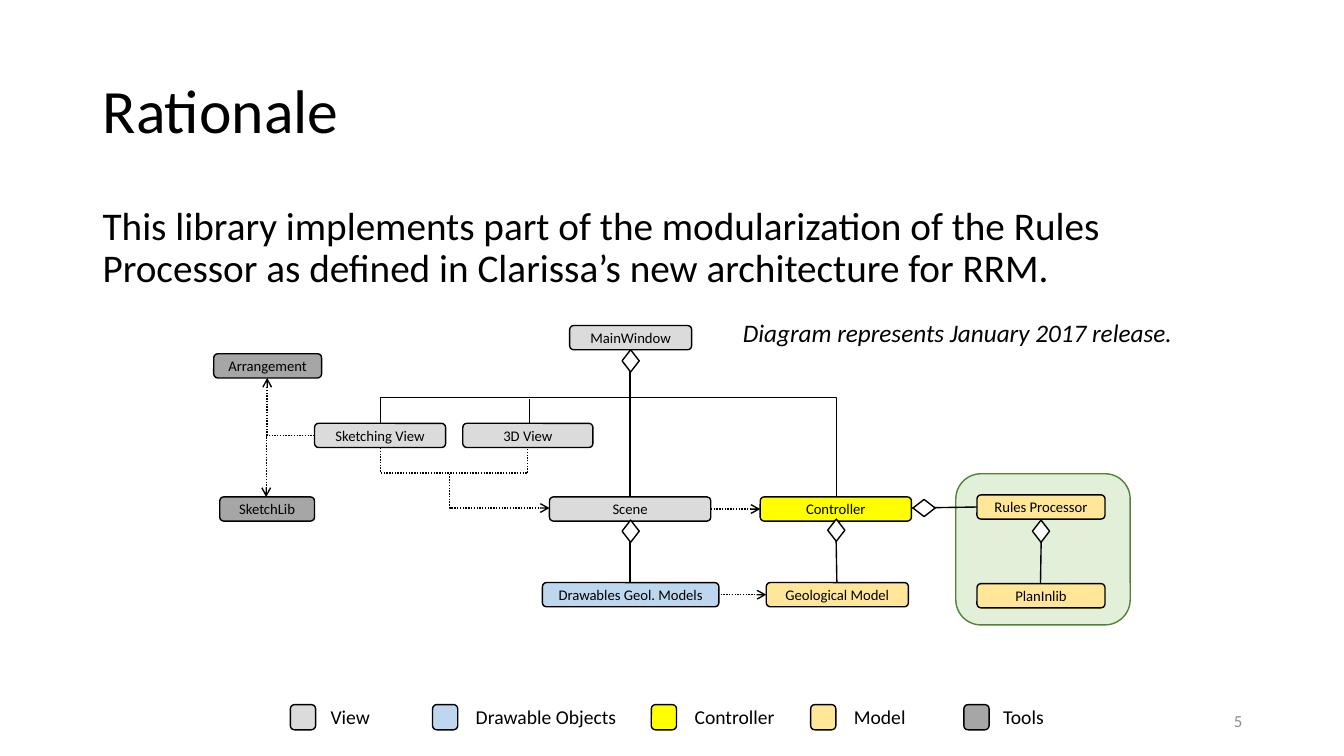
from lxml import etree
from pptx import Presentation
from pptx.dml.color import RGBColor
from pptx.enum.dml import MSO_LINE
from pptx.enum.shapes import MSO_CONNECTOR, MSO_SHAPE
from pptx.enum.text import MSO_ANCHOR, PP_ALIGN
from pptx.oxml.ns import qn
from pptx.util import Inches, Pt

COLORS = {
    "black": "000000", "white": "FFFFFF", "number": "8C8C8C",
    "view": "DBDBDB", "drawable": "BDD7EE", "controller": "FFFF00",
    "model": "FFE699", "tools": "A6A6A6",
    "region": "E2F0D9", "region_line": "548235",
}
TITLE = "Rationale"
BODY = ("This library implements part of the modularization of the Rules Processor "
        "as defined in Clarissa’s new architecture for RRM.")
NOTE = "Diagram represents January 2017 release."
PAGE_NUMBER = "5"

REGION = (9.48, 4.7, 1.73, 1.5)
MODULE_HEIGHT = 0.24
MODULES = [
    ("MainWindow", "view", 5.65, 3.23, 1.21),
    ("Sketching View", "view", 3.12, 4.2, 1.3),
    ("3D View", "view", 4.59, 4.2, 1.29),
    ("Scene", "view", 5.45, 4.93, 1.6),
    ("Drawables Geol. Models", "drawable", 5.38, 5.78, 1.75),
    ("Geological Model", "model", 7.6, 5.78, 1.41),
    ("Controller", "controller", 7.54, 4.93, 1.5),
    ("Rules Processor", "model", 9.69, 4.91, 1.27),
    ("PlanInlib", "model", 9.69, 5.79, 1.27),
    ("SketchLib", "tools", 2.18, 4.93, 0.94),
    ("Arrangement", "tools", 2.12, 3.51, 1.07),
]
OWNERSHIP_LINES = [
    (6.25, 3.47, 6.25, 4.93),
    (6.25, 5.16, 6.25, 5.78),
    (8.29, 5.17, 8.3, 5.78),
    (10.33, 5.15, 10.32, 5.79),
    (9.04, 5.04, 9.69, 5.03),
    (5.25, 4.2, 5.25, 3.96),
]
USE_ARROWS = [(7.05, 5.05, 7.54, 5.05), (7.12, 5.9, 7.6, 5.9)]
ELBOWS = [
    dict(frame=(5.67, 2.3, 0.73, 4.52), turn=270, flip="flipH", bend=-0.34),
    dict(frame=(4.5, 3.72, 0.01, 1.46), turn=270, flip="flipH", bend=25, dotted=True),
    dict(frame=(4.46, 4.7, 0.99, 0.34), bend=0, dotted=True, arrow=True),
    dict(frame=(2.65, 3.75, 0.47, 0.57), turn=180, dotted=True, arrow=True),
    dict(frame=(2.64, 4.32, 0.48, 0.61), turn=180, flip="flipV", dotted=True, arrow=True),
]
DIAMOND_SIZE = (0.17, 0.22)
DIAMONDS = [
    (6.17, 3.47, 0), (6.17, 5.16, 0), (8.21, 5.15, 0),
    (10.24, 5.16, 0), (9.08, 4.93, 90),
]
LEGEND_TOP, SWATCH = 6.99, 0.25
LEGEND = [
    ("View", "view", 2.88, 3.18, 0.6),
    ("Drawable Objects", "drawable", 4.29, 4.62, 1.61),
    ("Controller", "controller", 6.46, 6.79, 1.01),
    ("Model", "model", 8.04, 8.37, 0.72),
    ("Tools", "tools", 9.56, 9.85, 0.61),
]

deck = Presentation()
deck.slide_width, deck.slide_height = Inches(13.33), Inches(7.5)
page = deck.slides.add_slide(deck.slide_layouts[6])


def color(name):
    return RGBColor.from_string(COLORS[name])


def write(box, text, size=14, ink="black", align=PP_ALIGN.LEFT, anchor=MSO_ANCHOR.TOP,
          italic=False, spacing=None, wrap=True):
    frame = box.text_frame
    frame.word_wrap = wrap
    frame.vertical_anchor = anchor
    para = frame.paragraphs[0]
    para.alignment = align
    if spacing:
        para.line_spacing = spacing
    span = para.add_run()
    span.text = text
    span.font.name = "Calibri"
    span.font.size = Pt(size)
    span.font.italic = italic
    span.font.color.rgb = color(ink)


def add_text(frame, text, **style):
    write(page.shapes.add_textbox(*map(Inches, frame)), text, **style)


def add_outline(kind, frame, fill, line="black"):
    shape = page.shapes.add_shape(kind, *map(Inches, frame))
    shape.shadow.inherit = False
    shape.fill.solid()
    shape.fill.fore_color.rgb = color(fill)
    shape.line.color.rgb = color(line)
    shape.line.width = Pt(1)
    return shape


def add_line(ends, kind=MSO_CONNECTOR.STRAIGHT, dotted=False, arrow=False):
    connector = page.shapes.add_connector(kind, *map(Inches, ends))
    connector.line.color.rgb = color("black")
    connector.line.width = Pt(1)
    if dotted:
        connector.line.dash_style = MSO_LINE.ROUND_DOT
    properties = connector.element.spPr
    if arrow:
        etree.SubElement(properties.find(qn("a:ln")), qn("a:tailEnd"), type="arrow")
    etree.SubElement(properties, qn("a:effectLst"))
    return connector


def add_elbow(frame, turn=0, flip=None, bend=None, **style):
    left, top, width, height = frame
    ends = (left, top, left + width, top + height)
    properties = add_line(ends, MSO_CONNECTOR.ELBOW, **style).element.spPr
    transform = properties.find(qn("a:xfrm"))
    if turn:
        transform.set("rot", str(turn * 60000))
    if flip:
        transform.set(flip, "1")
    geometry = properties.find(qn("a:prstGeom"))
    if bend is None:
        geometry.set("prst", "bentConnector2")
    else:
        etree.SubElement(geometry.find(qn("a:avLst")), qn("a:gd"),
                         name="adj1", fmla=f"val {round(bend * 100000)}")


add_text((0.92, 0.4, 11.5, 1.45), TITLE, size=44, anchor=MSO_ANCHOR.MIDDLE, spacing=0.9)
add_text((0.92, 2, 11.5, 1), BODY, size=28, spacing=0.9)
add_text((9.42, 6.95, 3, 0.4), PAGE_NUMBER, size=12, ink="number",
         align=PP_ALIGN.RIGHT, anchor=MSO_ANCHOR.MIDDLE)
add_text((7.27, 3.1, 4.62, 0.4), NOTE, size=18, italic=True, wrap=False)

add_outline(MSO_SHAPE.ROUNDED_RECTANGLE, REGION, "region", "region_line")
for ends in OWNERSHIP_LINES:
    add_line(ends)
for ends in USE_ARROWS:
    add_line(ends, dotted=True, arrow=True)
for elbow in ELBOWS:
    add_elbow(**elbow)
for name, role, left, top, width in MODULES:
    module = add_outline(MSO_SHAPE.ROUNDED_RECTANGLE, (left, top, width, MODULE_HEIGHT), role)
    write(module, name, size=10.5, align=PP_ALIGN.CENTER, anchor=MSO_ANCHOR.MIDDLE)
for left, top, turn in DIAMONDS:
    add_outline(MSO_SHAPE.DIAMOND, (left, top, *DIAMOND_SIZE), "white").rotation = turn
for name, role, left, label_left, label_width in LEGEND:
    add_outline(MSO_SHAPE.ROUNDED_RECTANGLE, (left, LEGEND_TOP, SWATCH, SWATCH), role)
    add_text((label_left, LEGEND_TOP - 0.05, label_width, 0.34), name, wrap=False)

deck.save("out.pptx")
